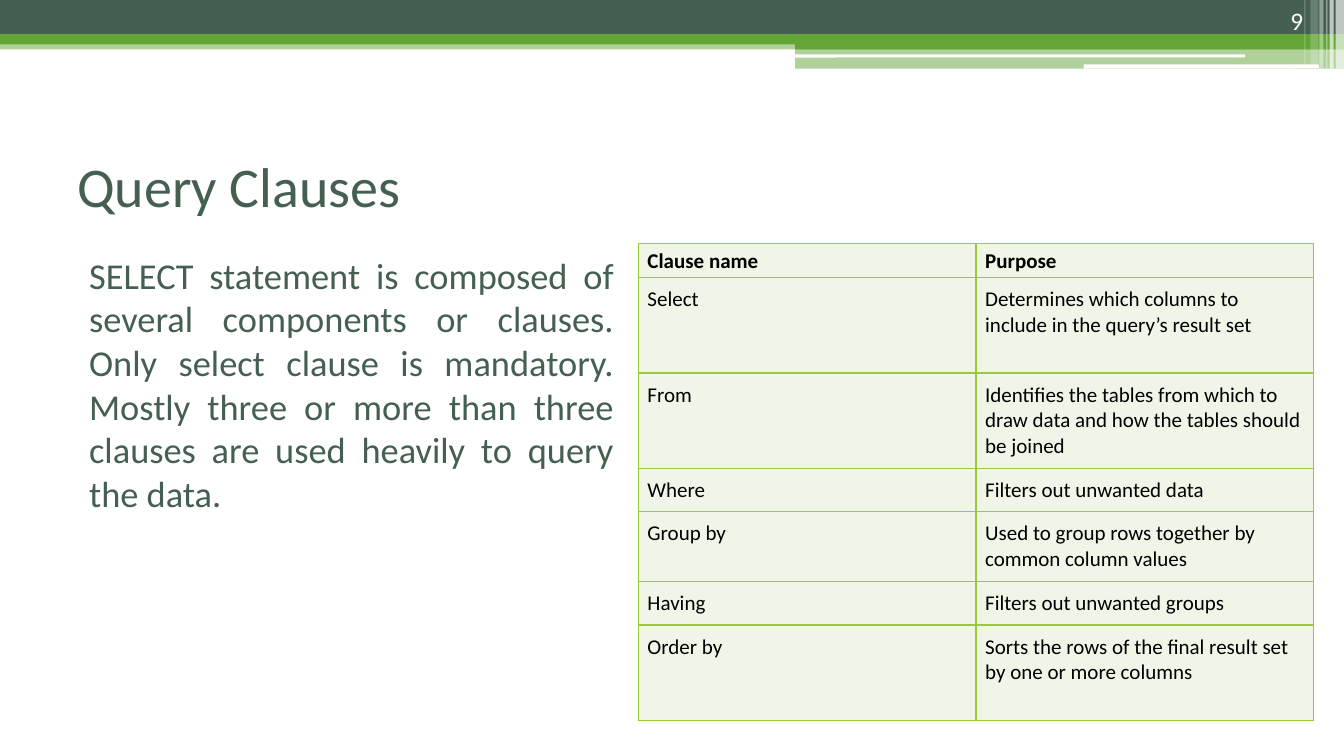
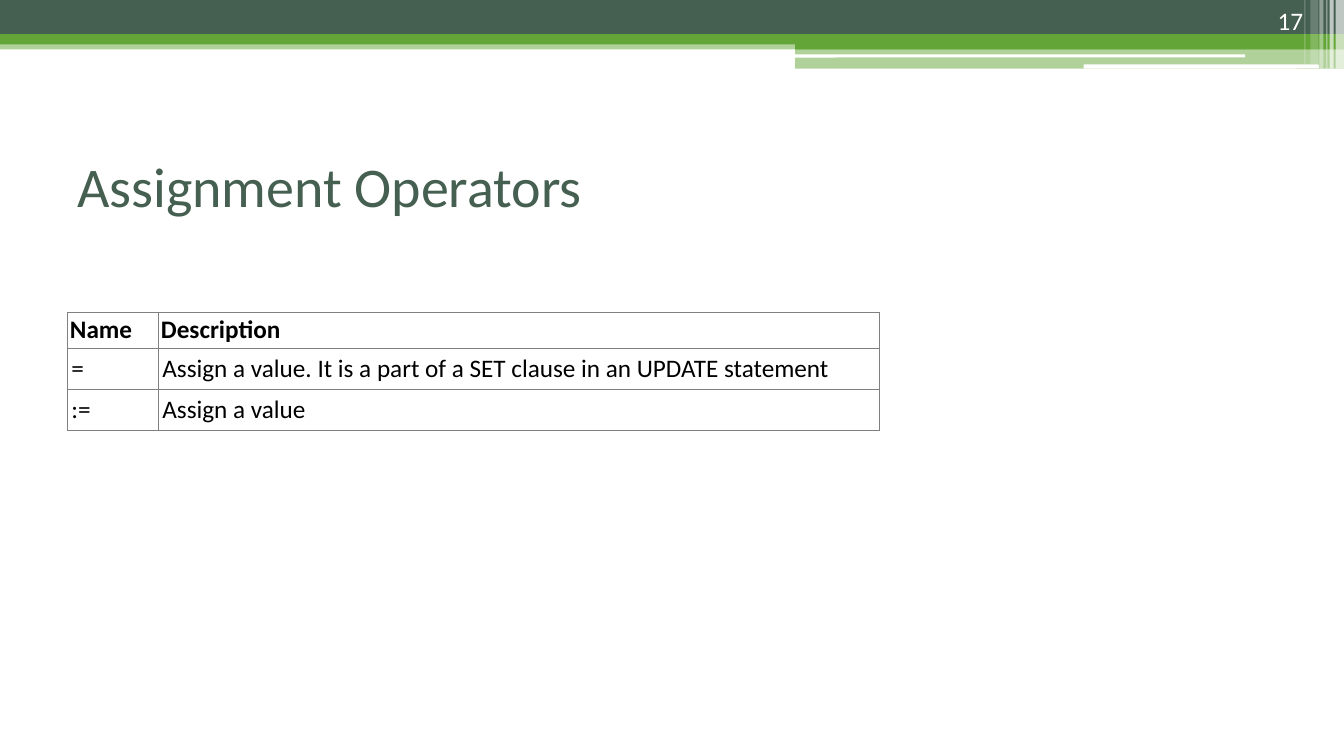
from lxml import etree
from pptx import Presentation
from pptx.dml.color import RGBColor
from pptx.enum.shapes import MSO_SHAPE as Preset
from pptx.enum.text import MSO_ANCHOR as Anchor, PP_ALIGN as Align
from pptx.oxml.ns import qn
from pptx.util import Pt

FONT = "Calibri"
DARK_GREEN = RGBColor(0x45, 0x5F, 0x51)
GREEN = RGBColor(0x63, 0xA5, 0x37)
LIME = RGBColor(0x99, 0xCB, 0x38)
PALE_GREEN = RGBColor(0xEF, 0xF6, 0xE8)
GREY = RGBColor(0x80, 0x80, 0x80)
WHITE = RGBColor(0xFF, 0xFF, 0xFF)
BLACK = RGBColor(0, 0, 0)

SLIDE_WIDTH, SLIDE_HEIGHT = 960, 540
MARGIN = 48
SPLIT = 568  # where the right-hand bands begin

# left, top, width, height, colour, opacity in percent
BANDS = [
    (0, 28.8, SLIDE_WIDTH, 6.5, GREEN, 50),
    (0, 0, SLIDE_WIDTH, 24.5, DARK_GREEN, 100),
    (0, 24.5, SLIDE_WIDTH, 7.2, GREEN, 100),
    (SPLIT, 28.1, SLIDE_WIDTH - SPLIT, 7.2, GREEN, 100),
    (SPLIT, 35, SLIDE_WIDTH - SPLIT, 14, GREEN, 50),
]
ROUNDED_LINES = [
    (SPLIT - 0.6, 38.9, 322, 2.2, WHITE, 100),
    (774, 46.1, 168, 2.9, WHITE, 100),
]
# left, width, height, opacity in percent
STRIPES = [
    (954, 6, 49, 65), (949.7, 2.9, 49, 65), (947.5, 0.7, 49, 60),
    (942.5, 2.9, 49, 40), (936, 5.8, 46, 20), (931.7, 0.7, 46, 30),
]

CLAUSES = [
    ("Clause name", "Purpose"),
    ("Select", "Determines which columns to include in the query’s result set"),
    ("From", "Identifies the tables from which to draw data and how the tables "
             "should be joined"),
    ("Where", "Filters out unwanted data"),
    ("Group by", "Used to group rows together by common column values"),
    ("Having", "Filters out unwanted groups"),
    ("Order by", "Sorts the rows of the final result set by one or more columns"),
]
OPERATORS = [
    ("Name", "Description"),
    ("=", "Assign a value. It is a part of a SET\u00a0clause in an "
          "UPDATE\u00a0statement"),
    (":=", "Assign a value"),
]


def write(paragraph, text, size, color, bold=False):
    run = paragraph.add_run()
    run.text = text
    run.font.name = FONT
    run.font.size = Pt(size)
    run.font.bold = bold
    run.font.color.rgb = color


def place(shape, left, top, width, height):
    shape.left, shape.top = Pt(left), Pt(top)
    shape.width, shape.height = Pt(width), Pt(height)


def add_block(slide, preset, left, top, width, height, color, opacity):
    shape = slide.shapes.add_shape(preset, Pt(left), Pt(top), Pt(width), Pt(height))
    shape.shadow.inherit = False
    shape.line.fill.background()
    shape.fill.solid()
    shape.fill.fore_color.rgb = color
    if opacity < 100:
        color_element = shape.element.spPr.find(".//" + qn("a:srgbClr"))
        etree.SubElement(color_element, qn("a:alpha"), val=str(opacity * 1000))
    return shape


def decorate_layout(layout, slide):
    """Draw the header once and hand it over to the shared layout."""
    blocks = [add_block(slide, Preset.RECTANGLE, *band) for band in BANDS]
    blocks += [add_block(slide, Preset.ROUNDED_RECTANGLE, *line)
               for line in ROUNDED_LINES]
    blocks += [add_block(slide, Preset.RECTANGLE, left, 0, width, height, WHITE, opacity)
               for left, width, height, opacity in STRIPES]
    for block in blocks:
        layout.shapes.element.append(block.element)


def add_text(slide, text, left, top, width, height, size, color, align, anchor=Anchor.TOP):
    box = slide.shapes.add_textbox(Pt(left), Pt(top), Pt(width), Pt(height))
    frame = box.text_frame
    frame.word_wrap = True
    frame.vertical_anchor = anchor
    paragraph = frame.paragraphs[0]
    paragraph.alignment = align
    write(paragraph, text, size, color)
    return paragraph


def add_titled_slide(presentation, layout, title, number):
    slide = presentation.slides.add_slide(layout)
    # Title
    shape = slide.shapes.title
    place(shape, MARGIN, 90, SLIDE_WIDTH - 2 * MARGIN, 84)
    shape.text_frame.vertical_anchor = Anchor.MIDDLE
    paragraph = shape.text_frame.paragraphs[0]
    paragraph.alignment = Align.LEFT
    write(paragraph, title, 40, DARK_GREEN)
    # Page number
    add_text(slide, str(number), 858, 0, 80, 28.8, 18, WHITE, Align.RIGHT, Anchor.BOTTOM)
    return slide


def set_borders(cell, color):
    properties = cell._tc.get_or_add_tcPr()
    for position, side in enumerate(("a:lnL", "a:lnR", "a:lnT", "a:lnB")):
        line = etree.Element(qn(side), w=str(Pt(1)))
        fill = etree.SubElement(line, qn("a:solidFill"))
        etree.SubElement(fill, qn("a:srgbClr"), val=str(color))
        properties.insert(position, line)


def add_grid(slide, rows, left, top, widths, heights, size, fill, border,
             header_insets, body_insets, header_anchor=Anchor.TOP):
    """Insets are pairs: sides, then top and bottom."""
    table = slide.shapes.add_table(len(rows), len(widths), Pt(left), Pt(top),
                                   Pt(sum(widths)), Pt(sum(heights))).table
    table.first_row = table.horz_banding = False
    for column, width in zip(table.columns, widths):
        column.width = Pt(width)
    for row_index, (row, texts) in enumerate(zip(table.rows, rows)):
        row.height = Pt(heights[row_index])
        is_header = row_index == 0
        side, edge = header_insets if is_header else body_insets
        for cell, text in zip(row.cells, texts):
            cell.margin_left = cell.margin_right = Pt(side)
            cell.margin_top = cell.margin_bottom = Pt(edge)
            cell.vertical_anchor = header_anchor if is_header else Anchor.TOP
            cell.fill.solid()
            cell.fill.fore_color.rgb = fill
            set_borders(cell, border)
            write(cell.text_frame.paragraphs[0], text, size, BLACK, is_header)


def add_clauses(slide):
    paragraph = add_text(
        slide,
        "SELECT statement is composed of several components or clauses. Only select "
        "clause is mandatory. Mostly three or more than three clauses are used heavily "
        "to query the data.",
        MARGIN, 177, 398, 340, 26, DARK_GREEN, Align.JUSTIFY)
    paragraph.space_before = Pt(3)
    paragraph._p.get_or_add_pPr().set("marL", str(Pt(8.6)))
    add_grid(slide, CLAUSES, 456, 174, [241.2, 241.2], [24.5, 68, 68, 31, 50, 31, 68],
             15, PALE_GREEN, LIME, (6.5, 2.9), (6.5, 6.5), Anchor.BOTTOM)


def add_operators(slide):
    add_grid(slide, OPERATORS, MARGIN, 223, [65, 515], [25.7, 29.3, 29.3],
             18, WHITE, GREY, (2, 2), (3, 3.6))


def main():
    presentation = Presentation()
    presentation.slide_width = Pt(SLIDE_WIDTH)
    presentation.slide_height = Pt(SLIDE_HEIGHT)
    layout = presentation.slide_layouts.get_by_name("Title Only")

    clauses = add_titled_slide(presentation, layout, "Query Clauses", 9)
    decorate_layout(layout, clauses)
    add_clauses(clauses)

    operators = add_titled_slide(presentation, layout, "Assignment Operators", 17)
    add_operators(operators)

    presentation.save("out.pptx")


main()
